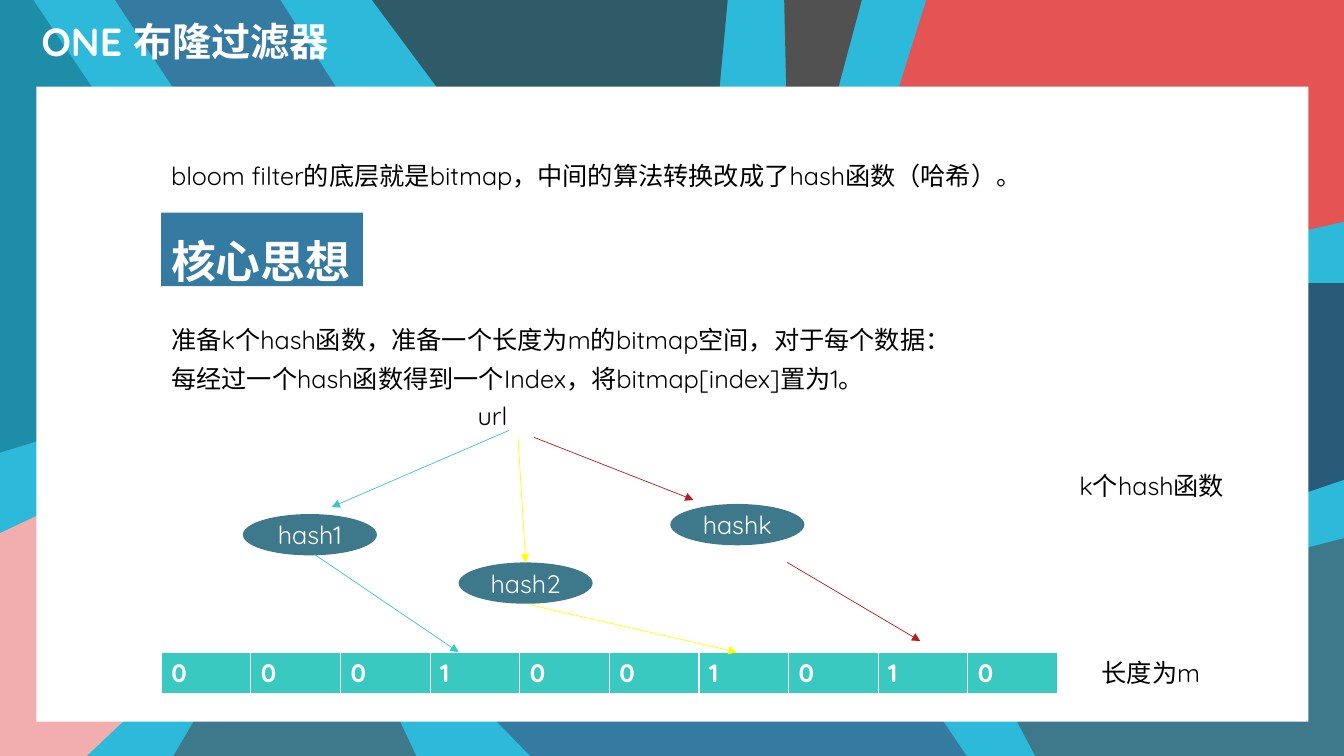
from dataclasses import dataclass
from typing import Optional

from lxml.etree import SubElement
from pptx import Presentation
from pptx.dml.color import RGBColor
from pptx.enum.shapes import MSO_CONNECTOR as Connector, MSO_SHAPE as Preset
from pptx.enum.text import MSO_ANCHOR as Anchor, MSO_AUTO_SIZE as AutoSize, PP_ALIGN as Align
from pptx.oxml.ns import qn
from pptx.util import Inches, Pt

# The slide is a grid of square cells, ten to the inch.
COLUMNS, ROWS = 133.33, 75
# Edges of the white panel, which hides the middle of the background patches.
LEFT, TOP, RIGHT, BOTTOM = 3.6, 8.6, 129.8, 71.6
MARGIN = 16
BITMAP_TOP = 64.7
FONT = "Quicksand"

WHITE = RGBColor(0xFF, 0xFF, 0xFF)
BLACK = RGBColor(0x00, 0x00, 0x00)
SKY = RGBColor(0x2D, 0xB9, 0xDA)
LAGOON = RGBColor(0x1E, 0x8D, 0xA8)
PINK = RGBColor(0xF2, 0xAE, 0xAE)
TEAL = RGBColor(0x3D, 0x79, 0x8A)
BLUE = RGBColor(0x35, 0x7A, 0xA0)
PINE = RGBColor(0x2E, 0x5B, 0x67)
GREY = RGBColor(0x51, 0x51, 0x51)
CORAL = RGBColor(0xE4, 0x54, 0x54)
NAVY = RGBColor(0x28, 0x5B, 0x78)
TURQUOISE = RGBColor(0x39, 0xC9, 0xC0)
YELLOW = RGBColor(0xFF, 0xFF, 0x00)
RED = RGBColor(0xB3, 0x1D, 0x1D)

Point = tuple[float, float]


@dataclass(frozen=True)
class Patch:
    color: RGBColor
    corners: list[Point]


@dataclass(frozen=True)
class Caption:
    lines: list[str]
    box: tuple[float, float, float, float]
    spacing: Optional[float] = None
    size: int = 18
    color: RGBColor = BLACK
    bold: bool = False
    fill: Optional[RGBColor] = None
    wrap: bool = True


@dataclass(frozen=True)
class HashNode:
    label: str
    corner: Point


@dataclass(frozen=True)
class Arrow:
    color: RGBColor
    start: Point
    end: Point
    target: Optional[str] = None


PATCHES = [
    Patch(LAGOON, [(0, 0), (3.3, 0), (9.1, TOP), (27.2, 30.5), (LEFT, 43.8), (0, 44.9)]),
    Patch(PINK, [(0, 52.9), (LEFT, 51.2), (32, 35.5), (12.2, BOTTOM), (8.6, ROWS), (0, ROWS)]),
    Patch(TEAL, [(35.1, 38.8), (39.7, BOTTOM), (41.3, ROWS), (17.2, ROWS), (19.2, BOTTOM)]),
    Patch(BLUE, [(11.4, 0), (27.8, 0), (33.3, TOP), (93.6, BOTTOM), (95.9, ROWS),
                 (52.6, ROWS), (49.3, BOTTOM), (17.1, TOP)]),
    Patch(PINE, [(36.9, 0), (72.2, 0), (71.4, TOP), (77.5, 30.5), (43.3, TOP)]),
    Patch(GREY, [(77.8, 0), (85.5, 0), (83.2, TOP), (82.6, 27.7), (78, TOP)]),
    Patch(CORAL, [(91.9, 0), (COLUMNS, 0), (COLUMNS, 22), (RIGHT, 22.8), (87.4, 27.7),
                  (89.2, TOP)]),
    Patch(NAVY, [(COLUMNS, 28.1), (COLUMNS, 47.6), (RIGHT, 48.8), (112, 50.5), (87.9, 32.6),
                 (RIGHT, 28.1)]),
    Patch(TEAL, [(COLUMNS, 53.4), (COLUMNS, ROWS), (102.7, ROWS), (100.9, BOTTOM),
                 (84.9, 35.8), (113, 56.1), (RIGHT, 54.3)]),
]
CAPTIONS = [
    Caption(["核心思想"], (MARGIN, 21.1, 20, 7.3), 1.3, 32, WHITE, True, BLUE, False),
    Caption(["bloom filter的底层就是bitmap，中间的算法转换改成了hash函数（哈希）。"],
            (MARGIN, 14.5, 91.5, 4.6), 1.3),
    Caption(["准备k个hash函数，准备一个长度为m的bitmap空间，对于每个数据：",
             "每经过一个hash函数得到一个Index，将bitmap[index]置为1。"],
            (MARGIN, 30.8, 100.9, 8.5), 1.3),
    Caption(["url"], (46.4, 39.2, 11.5, 4.1)),
    Caption(["k个hash函数"], (106.1, 46.2, 17.9, 4)),
    Caption(["长度为m"], (108.3, BITMAP_TOP, 17.9, 4)),
]
BITMAP = "0001001010"
NODES = [HashNode("hash1", (24.1, 51)), HashNode("hash2", (45.5, 55.8)),
         HashNode("hashk", (66.5, 50))]
ARROWS = [
    Arrow(TURQUOISE, (50.5, 42.7), (32.9, 50.3)),
    Arrow(TURQUOISE, (31.2, 55), (45.5, BITMAP_TOP)),
    Arrow(YELLOW, (51.4, 43.5), (52.1, 55.8), "hash2"),
    Arrow(YELLOW, (52.6, 60), (73.1, BITMAP_TOP)),
    Arrow(RED, (53, 43.4), (68.8, 49.6)),
    Arrow(RED, (78.1, 55.8), (91.3, 63.6)),
]


def cells(*counts: float) -> list[int]:
    """Turn grid counts into slide lengths."""
    return [Inches(count / 10) for count in counts]


def paint(shape, color: RGBColor) -> None:
    shape.shadow.inherit = False
    shape.fill.solid()
    shape.fill.fore_color.rgb = color
    shape.line.fill.background()


def style(paragraph, size: int, color: RGBColor, bold: bool = False) -> None:
    font = paragraph.font
    font.name, font.size, font.bold = FONT, Pt(size), bold
    font.color.rgb = color


def draw_patch(shapes, patch: Patch) -> None:
    start, *rest = [cells(*corner) for corner in patch.corners]
    outline = shapes.build_freeform(*start)
    outline.add_line_segments(rest, close=True)
    paint(outline.convert_to_shape(), patch.color)


def draw_title(shapes) -> None:
    title = shapes.title
    title.element.getparent().append(title.element)  # in front of the background
    title.left, title.top, title.width, title.height = cells(3.1, 1.1, 84.8, 6.5)
    title.text_frame.text = "ONE 布隆过滤器"
    title.text_frame.vertical_anchor = Anchor.MIDDLE
    heading = title.text_frame.paragraphs[0]
    heading.alignment, heading.line_spacing, heading.space_before = Align.LEFT, 0.9, Pt(10)
    style(heading, 28, WHITE, True)


def draw_caption(shapes, caption: Caption) -> None:
    box = shapes.add_textbox(*cells(*caption.box))
    if caption.fill is not None:
        paint(box, caption.fill)
    frame = box.text_frame
    frame.word_wrap, frame.auto_size = caption.wrap, AutoSize.SHAPE_TO_FIT_TEXT
    frame.text = "\n".join(caption.lines)
    for paragraph in frame.paragraphs:
        paragraph.line_spacing = caption.spacing
        style(paragraph, caption.size, caption.color, caption.bold)


def draw_bitmap(shapes) -> None:
    box = cells(MARGIN, BITMAP_TOP, 88.9, 4.1)
    bitmap = shapes.add_table(1, len(BITMAP), *box).table
    for cell, bit in zip(bitmap.iter_cells(), BITMAP):
        cell.fill.solid()
        cell.fill.fore_color.rgb = TURQUOISE
        cell.text = bit
        style(cell.text_frame.paragraphs[0], 18, WHITE, True)


def draw_node(shapes, node: HashNode):
    ellipse = shapes.add_shape(Preset.OVAL, *cells(*node.corner, 13.3, 4.1))
    paint(ellipse, TEAL)
    frame = ellipse.text_frame
    frame.text, frame.vertical_anchor = node.label, Anchor.MIDDLE
    frame.paragraphs[0].alignment = Align.CENTER
    style(frame.paragraphs[0], 18, WHITE)
    return ellipse


def draw_arrow(shapes, arrow: Arrow, ellipses: dict) -> None:
    line = shapes.add_connector(Connector.STRAIGHT, *cells(*arrow.start, *arrow.end))
    if arrow.target is not None:
        line.end_connect(ellipses[arrow.target], 0)
    line.line.color.rgb, line.line.width = arrow.color, Pt(0.5)
    properties = line.element.spPr
    SubElement(properties.find(qn("a:ln")), qn("a:tailEnd"), type="triangle")
    SubElement(properties, qn("a:effectLst"))


def main() -> None:
    deck = Presentation()
    deck.slide_width, deck.slide_height = cells(COLUMNS, ROWS)
    slide = deck.slides.add_slide(deck.slide_layouts[5])
    slide.background.fill.solid()
    slide.background.fill.fore_color.rgb = SKY
    shapes = slide.shapes
    for patch in PATCHES:
        draw_patch(shapes, patch)
    panel = cells(LEFT, TOP, RIGHT - LEFT, BOTTOM - TOP)
    paint(shapes.add_shape(Preset.RECTANGLE, *panel), WHITE)
    draw_title(shapes)
    for caption in CAPTIONS:
        draw_caption(shapes, caption)
    draw_bitmap(shapes)
    ellipses = {node.label: draw_node(shapes, node) for node in NODES}
    for arrow in ARROWS:
        draw_arrow(shapes, arrow, ellipses)
    deck.save("out.pptx")


if __name__ == "__main__":
    main()
